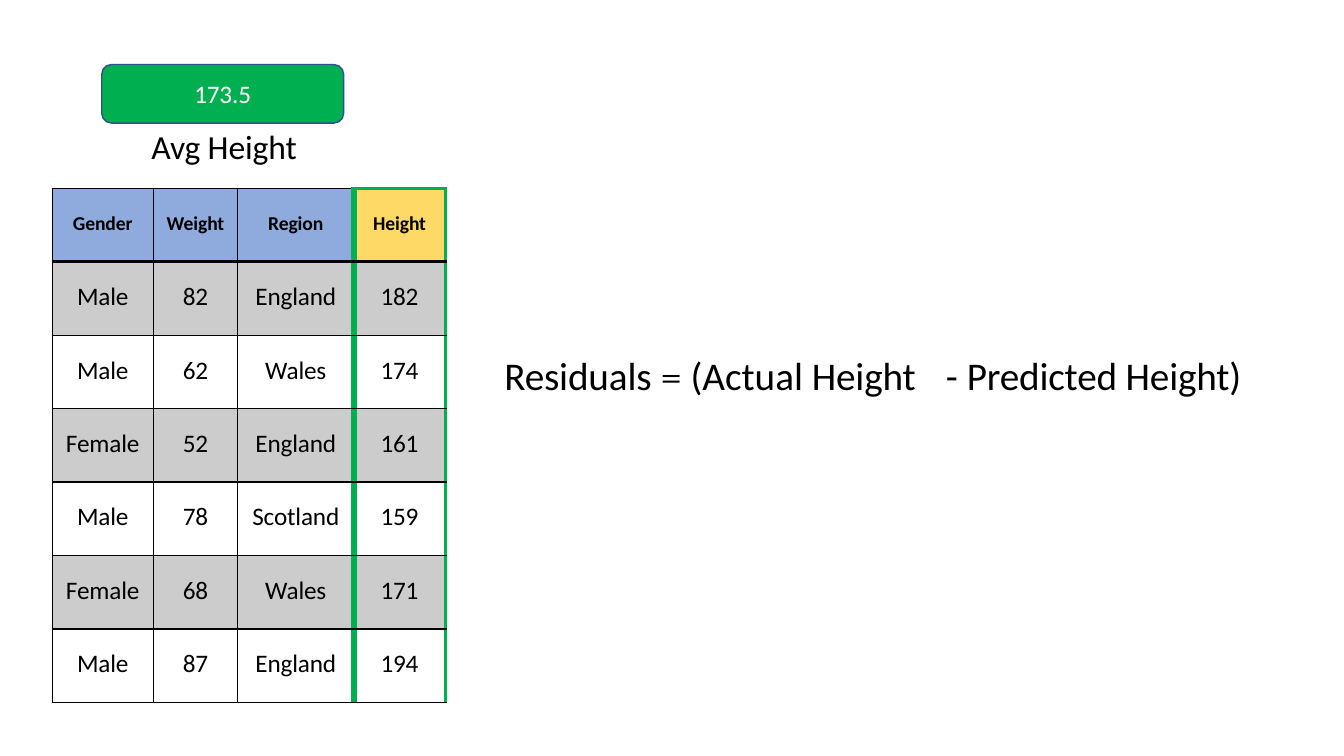
from dataclasses import dataclass

from lxml.etree import SubElement
from pptx import Presentation
from pptx.dml.color import RGBColor as RGB
from pptx.enum.shapes import MSO_SHAPE as Shape
from pptx.enum.text import MSO_ANCHOR as Anchor, PP_ALIGN as Align
from pptx.oxml.ns import qn
from pptx.util import Pt


@dataclass(frozen=True)
class Theme:
    font: str = "Calibri"
    symbol_font: str = "Cambria"
    black: str = "000000"
    white: str = "FFFFFF"
    green: str = "00AF50"
    outline: str = "2E528F"
    header: str = "8FAADC"
    target: str = "FFD966"
    band_alpha: int = 20
    header_size: float = 14
    body_size: float = 18
    title_size: float = 24
    formula_size: float = 28


T = Theme()
HEADINGS = ["Gender", "Weight", "Region", "Height"]
PEOPLE = [
    ["Male", "82", "England", "182"],
    ["Male", "62", "Wales", "174"],
    ["Female", "52", "England", "161"],
    ["Male", "78", "Scotland", "159"],
    ["Female", "68", "Wales", "171"],
    ["Male", "87", "England", "194"],
]
COL_WIDTHS = [72, 60.5, 82.8, 65.5]


def set_box(shape, box):
    shape.left, shape.top, shape.width, shape.height = (Pt(v) for v in box)


def set_margins(frame, left=0, top=0):
    frame.margin_left, frame.margin_top = Pt(left), Pt(top)
    frame.margin_right = frame.margin_bottom = 0


def style(p, size, color=T.black, bold=False, align=Align.CENTER, font=T.font):
    p.alignment = align
    f = p.font
    f.size, f.bold, f.name = Pt(size), bold, font
    f.color.rgb = RGB.from_string(color)


def add_run(p, text, spacing=-0.1):
    """Add a run with its letter spacing in points."""
    r = p.add_run()
    r.text = text
    r._r.get_or_add_rPr().set("spc", str(round(spacing * 100)))
    return r


def set_border(cell, side, color, width):
    ln = SubElement(cell._tc.get_or_add_tcPr(), qn(f"a:ln{side}"), w=str(Pt(width)))
    fill = SubElement(ln, qn("a:solidFill"))
    SubElement(fill, qn("a:srgbClr"), val=color)


def set_fill(cell, color, alpha=100):
    cell.fill.solid()
    cell.fill.fore_color.rgb = RGB.from_string(color)
    if alpha < 100:
        clr = cell._tc.tcPr.find(f"{qn('a:solidFill')}/{qn('a:srgbClr')}")
        SubElement(clr, qn("a:alpha"), val=str(alpha * 1000))


def format_cell(cell, row, col):
    """Border and fill a cell; the height column is framed in green."""
    target = len(HEADINGS) - 1
    thin, rule = (T.black, 1), (T.black, 2.25)
    divider, edge = (T.green, 4.5), (T.green, 3)
    top = rule if row == 1 else thin
    if row == 0 and col == target:
        top = edge
    borders = {
        "L": divider if col == target else thin,
        "R": {target - 1: divider, target: edge}.get(col, thin),
        "T": top,
        "B": rule if row == 0 else thin,
    }
    for side, (color, width) in borders.items():
        set_border(cell, side, color, width)
    if row == 0:
        set_fill(cell, T.target if col == target else T.header)
    elif row % 2:
        set_fill(cell, T.black, T.band_alpha)
    else:
        cell.fill.background()


def add_people_table(s, box):
    rows = [HEADINGS] + PEOPLE
    table = s.shapes.add_table(len(rows), len(HEADINGS), *(Pt(v) for v in box)).table
    table.first_row = table.horz_banding = False
    for column, width in zip(table.columns, COL_WIDTHS):
        column.width = Pt(width)
    for i, values in enumerate(rows):
        table.rows[i].height = Pt(box[3] / len(rows))
        for j, value in enumerate(values):
            cell = table.cell(i, j)
            is_header = i == 0
            set_margins(cell, top=16.9 if is_header else 14.2)
            format_cell(cell, i, j)
            p = cell.text_frame.paragraphs[0]
            style(p, T.header_size if is_header else T.body_size, bold=is_header)
            add_run(p, value, -0.1 if value.isalpha() else -0.2)


def add_average(s, box):
    """Place the green badge with its caption, the slide title, below it."""
    x, y, w, h = box
    badge = s.shapes.add_shape(Shape.ROUNDED_RECTANGLE, *(Pt(v) for v in box))
    badge.shadow.inherit = False
    badge.fill.solid()
    badge.fill.fore_color.rgb = RGB.from_string(T.green)
    badge.line.color.rgb = RGB.from_string(T.outline)
    badge.line.width = Pt(1)
    tf = badge.text_frame
    tf.vertical_anchor = Anchor.MIDDLE
    set_margins(tf)
    p = tf.paragraphs[0]
    style(p, T.body_size, T.white)
    add_run(p, "173.5")

    title = s.shapes.title
    set_box(title, (x + 34.5, y + h + 1.2, 107, 31))
    tf = title.text_frame
    tf.word_wrap = True
    tf.vertical_anchor = Anchor.TOP
    set_margins(tf, left=1, top=1)
    p = tf.paragraphs[0]
    style(p, T.title_size, align=Align.LEFT)
    add_run(p, "Avg Height")


def add_formula(s, box):
    tf = s.shapes.add_textbox(*(Pt(v) for v in box)).text_frame
    tf.word_wrap = True
    set_margins(tf, left=1, top=1)
    p = tf.paragraphs[0]
    tabs = SubElement(p._p.get_or_add_pPr(), qn("a:tabLst"))
    SubElement(tabs, qn("a:tab"), pos=str(Pt(315.4)), algn="l")
    style(p, T.formula_size, align=Align.LEFT)
    add_run(p, "Residuals ")
    add_run(p, "= ", 0).font.name = T.symbol_font
    add_run(p, "(Actual ", 0)
    add_run(p, "Height")
    add_run(p, "\t- ", 0)
    add_run(p, "Predicted Height)")


def main():
    prs = Presentation()
    prs.slide_width, prs.slide_height = Pt(960), Pt(540)
    s = prs.slides.add_slide(prs.slide_layouts[5])
    add_people_table(s, (37.4, 134.6, sum(COL_WIDTHS), 367.2))
    add_average(s, (72.7, 46.1, 172.8, 41.8))
    add_formula(s, (359.3, 249.8, 529.2, 35.3))
    prs.save("out.pptx")


if __name__ == "__main__":
    main()
